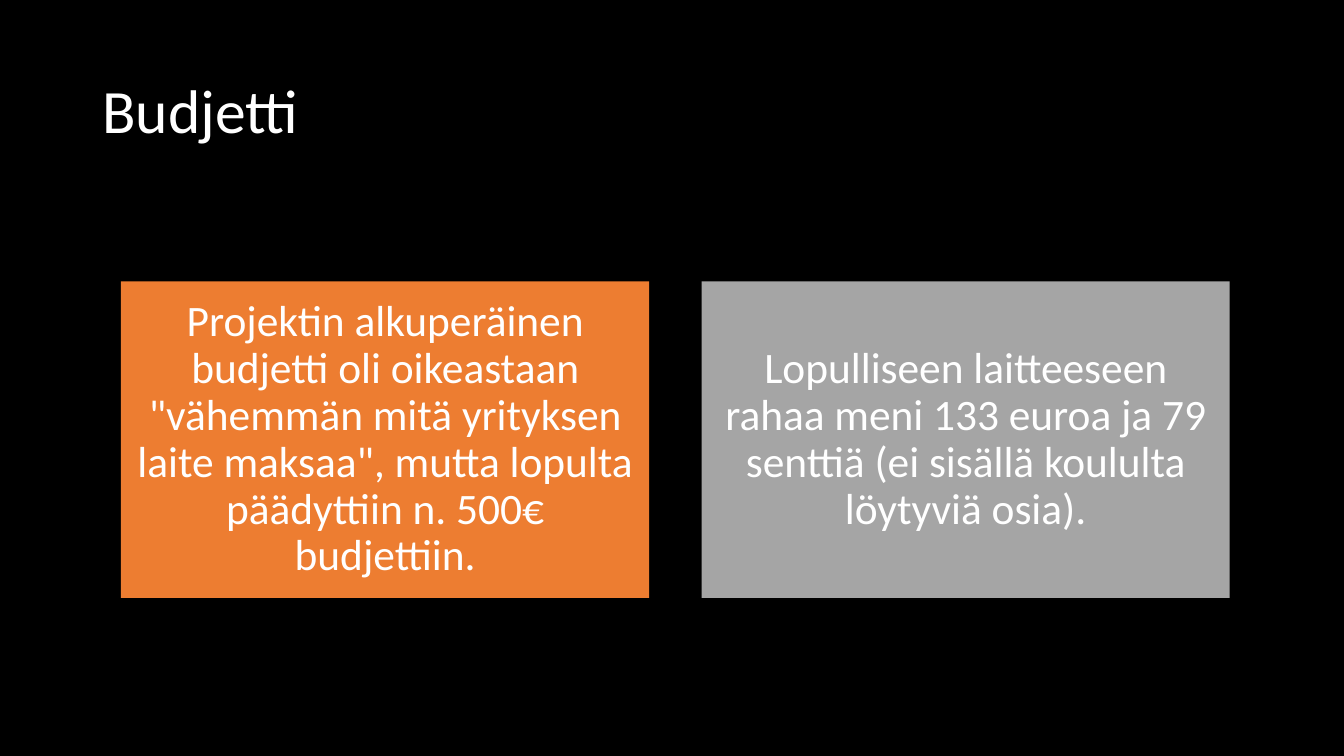
from pptx import Presentation
from pptx.dml.color import RGBColor
from pptx.enum.shapes import MSO_SHAPE
from pptx.enum.text import MSO_ANCHOR, PP_ALIGN
from pptx.util import Cm, Pt

RECTANGLE = MSO_SHAPE.RECTANGLE
MIDDLE = MSO_ANCHOR.MIDDLE
LEFT, CENTER = PP_ALIGN.LEFT, PP_ALIGN.CENTER

FONT = "Calibri"
COLORS = {
    "background": "000000",
    "text": "FFFFFF",
    "planned": "ED7D31",
    "spent": "A5A5A5",
}

# Card row, in centimetres
CARD_LEFT, CARD_TOP = 3.05, 7.09
CARD_WIDTH, CARD_HEIGHT = 13.31, 7.98
CARD_GAP = 1.32

CARDS = [
    ("planned", 'Projektin alkuperäinen budjetti oli oikeastaan "vähemmän mitä '
                'yrityksen laite maksaa", mutta lopulta päädyttiin n. 500€ budjettiin.'),
    ("spent", "Lopulliseen laitteeseen rahaa meni 133 euroa ja 79 senttiä "
              "(ei sisällä koululta löytyviä osia)."),
]


def color(name):
    return RGBColor.from_string(COLORS[name])


def write_text(box, text, size, align):
    frame = box.text_frame
    frame.word_wrap = True
    frame.vertical_anchor = MIDDLE
    para = frame.paragraphs[0]
    para.alignment = align
    para.line_spacing = 0.9
    span = para.add_run()
    span.text = text
    span.font.name = FONT
    span.font.size = Pt(size)
    span.font.color.rgb = color("text")


def add_title(page, text):
    box = page.shapes.add_textbox(Cm(2.33), Cm(1.01), Cm(29.21), Cm(3.68))
    write_text(box, text, 44, LEFT)


def add_card(page, left, fill, text):
    card = page.shapes.add_shape(
        RECTANGLE, Cm(left), Cm(CARD_TOP), Cm(CARD_WIDTH), Cm(CARD_HEIGHT))
    card.shadow.inherit = False
    card.fill.solid()
    card.fill.fore_color.rgb = color(fill)
    card.line.fill.background()
    frame = card.text_frame
    frame.margin_left = frame.margin_right = Cm(0.33)
    frame.margin_top = frame.margin_bottom = Cm(0.33)
    write_text(card, text, 31, CENTER)


def main():
    deck = Presentation()
    deck.slide_width, deck.slide_height = Cm(33.87), Cm(19.05)
    page = deck.slides.add_slide(deck.slide_layouts[6])

    # Background and title
    page.background.fill.solid()
    page.background.fill.fore_color.rgb = color("background")
    add_title(page, "Budjetti")

    # Planned budget beside the money spent
    for index, (fill, text) in enumerate(CARDS):
        add_card(page, CARD_LEFT + index * (CARD_WIDTH + CARD_GAP), fill, text)

    deck.save("out.pptx")


if __name__ == "__main__":
    main()
